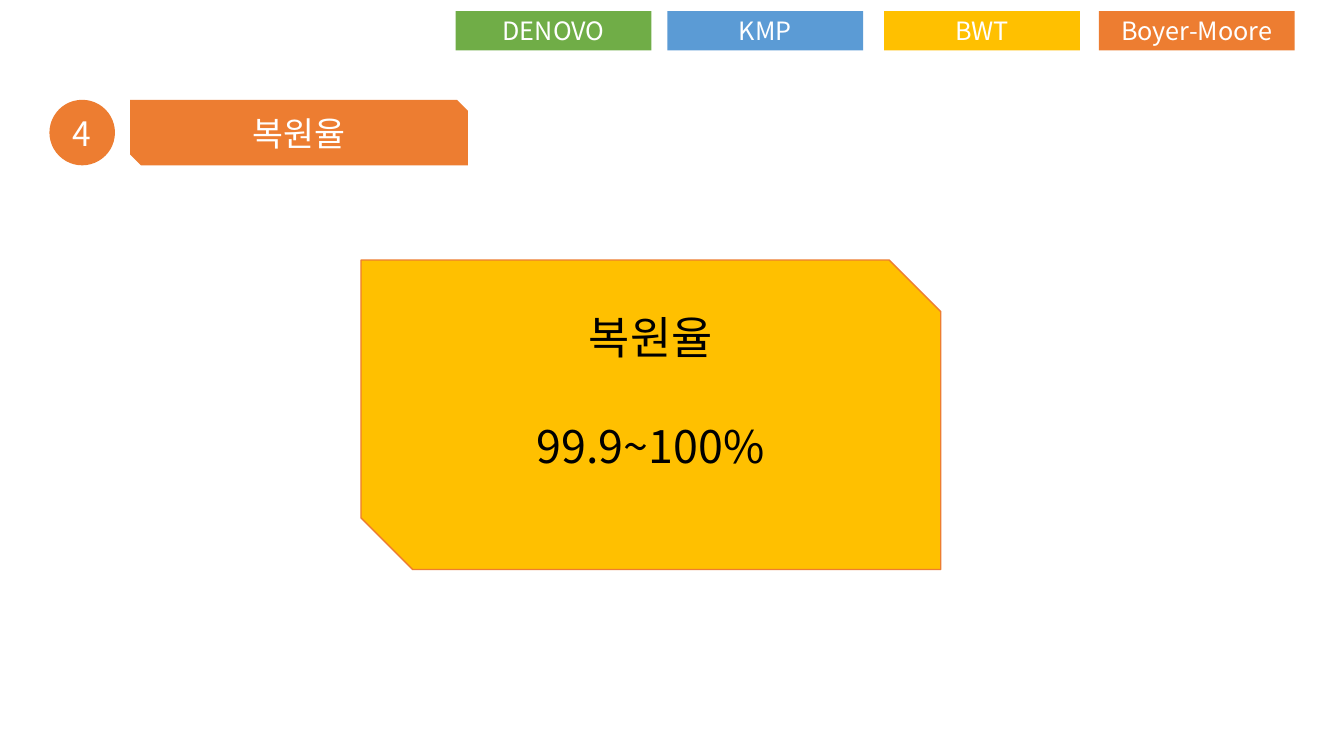
from lxml.etree import SubElement
from pptx import Presentation
from pptx.dml.color import RGBColor
from pptx.enum.shapes import MSO_SHAPE as Shape
from pptx.enum.text import MSO_ANCHOR as Anchor, PP_ALIGN as Align
from pptx.oxml.ns import qn
from pptx.util import Inches, Pt

FONT = "Noto Sans CJK KR"
COLORS = {
    "orange": "ED7D31",
    "green": "70AD47",
    "blue": "5B9BD5",
    "gold": "FFC000",
    "white": "FFFFFF",
    "black": "000000",
}


def color(name):
    """Return the named palette colour."""
    return RGBColor.from_string(COLORS[name])


def add_label(slide, kind, box, fill, lines, size, text_color="white"):
    """Add a filled shape with centred lines of text."""
    shape = slide.shapes.add_shape(kind, *(Inches(value) for value in box))
    shape.shadow.inherit = False
    shape.fill.solid()
    shape.fill.fore_color.rgb = color(fill)
    shape.line.fill.background()
    frame = shape.text_frame
    frame.word_wrap = True
    frame.vertical_anchor = Anchor.MIDDLE
    for index, text in enumerate(lines):
        paragraph = frame.add_paragraph() if index else frame.paragraphs[0]
        paragraph.alignment = Align.CENTER
        run = paragraph.add_run()
        run.text = text
        run.font.size = Pt(size)
        run.font.name = FONT
        run.font.color.rgb = color(text_color)
        SubElement(run.font._element, qn("a:ea"), typeface=FONT)
    return shape


def add_tabs(slide, left, top, width, height):
    """Add the row of algorithm tabs along the top."""
    tabs = [
        (0, "DENOVO", "green"),
        (2.1, "KMP", "blue"),
        (4.25, "BWT", "gold"),
        (6.38, "Boyer-Moore", "orange"),
    ]
    for offset, name, fill in tabs:
        box = (left + offset, top, width, height)
        add_label(slide, Shape.RECTANGLE, box, fill, [name], 18)


def add_heading(slide, left, top, width, height):
    """Add the numbered circle and the section title beside it."""
    title_offset = 0.8
    add_label(slide, Shape.OVAL, (left, top, height, height), "orange", ["4"], 24)
    title_box = (left + title_offset, top, width - title_offset, height)
    add_label(slide, Shape.SNIP_2_DIAG_RECTANGLE, title_box, "orange", ["복원율"], 24)


def add_result(slide, left, top, width, height):
    """Add the large card with the recovery rate."""
    card = add_label(slide, Shape.SNIP_2_DIAG_RECTANGLE, (left, top, width, height),
                     "gold", ["복원율", "99.9~100%"], 32, "black")
    card.line.color.rgb = color("orange")
    card.line.width = Pt(1)
    card.text_frame.margin_bottom = Inches(0.53)
    title, rate = card.text_frame.paragraphs
    title.line_spacing = rate.line_spacing = Pt(39)
    rate.space_before = Pt(39)


def main():
    """Build and save the presentation."""
    presentation = Presentation()
    presentation.slide_width = Inches(13.33)
    presentation.slide_height = Inches(7.5)
    slide = presentation.slides.add_slide(presentation.slide_layouts[6])
    add_tabs(slide, 4.52, 0.11, 1.94, 0.39)
    add_heading(slide, 0.49, 0.99, 4.15, 0.65)
    add_result(slide, 3.58, 2.58, 5.75, 3.07)
    presentation.save("out.pptx")


if __name__ == "__main__":
    main()
